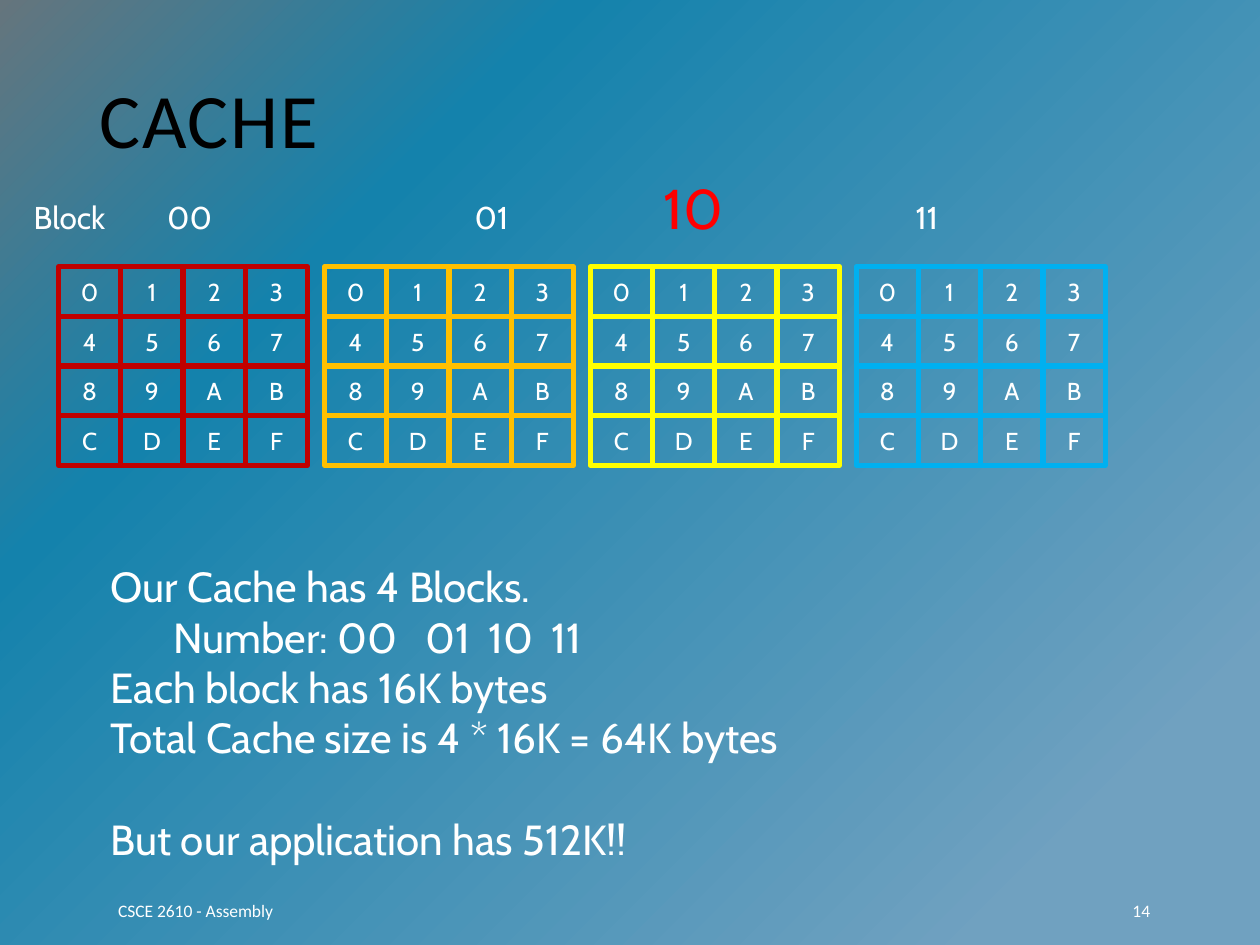
import pptx
import pptx.dml.color
import pptx.enum.shapes
import pptx.enum.text
import pptx.oxml
import pptx.oxml.ns
import pptx.util

Cm = pptx.util.Cm
Pt = pptx.util.Pt
ANCHOR = pptx.enum.text.MSO_ANCHOR
ALIGN = pptx.enum.text.PP_ALIGN
NS = pptx.oxml.ns.nsdecls("a", "p")

WHITE = "FFFFFF"
BLOCK_COLORS = ["C00000", "FFC000", "FFFF00", "00B0F0"]
STOPS = [(13, "70A1C0"), (74, "1482AC"), (100, "65757D")]


def rgb(color):
    return pptx.dml.color.RGBColor.from_string(color)


def add_run(p, text, size, font="Cabin", color=WHITE):
    r = p.add_run()
    r.text = text
    r.font.size = Pt(size)
    r.font.name = font
    r.font.color.rgb = rgb(color)
    return r


def set_tabs(p, stops):
    tabs = "".join(f'<a:tab pos="{Cm(x)}" algn="l"/>' for x in stops)
    pPr = p._p.get_or_add_pPr()
    pPr.append(pptx.oxml.parse_xml(f"<a:tabLst {NS}>{tabs}</a:tabLst>"))


def add_text_box(s, x, y, w, h, anchor=ANCHOR.TOP):
    tf = s.shapes.add_textbox(Cm(x), Cm(y), Cm(w), Cm(h)).text_frame
    tf.word_wrap = True
    tf.vertical_anchor = anchor
    return tf


def set_background(s):
    stops = "".join(
        f'<a:gs pos="{pos * 1000}"><a:srgbClr val="{color}"/></a:gs>'
        for pos, color in STOPS)
    bg = pptx.oxml.parse_xml(
        f'<p:bg {NS}><p:bgPr><a:gradFill rotWithShape="1">'
        f'<a:gsLst>{stops}</a:gsLst><a:path path="circle">'
        '<a:fillToRect l="100000" t="100000"/></a:path></a:gradFill>'
        '<a:effectLst/></p:bgPr></p:bg>')
    s.element.cSld.insert(0, bg)


def set_title(s, x, y, w, h):
    sp = s.shapes.title
    sp.left, sp.top, sp.width, sp.height = Cm(x), Cm(y), Cm(w), Cm(h)
    tf = sp.text_frame
    tf.vertical_anchor = ANCHOR.MIDDLE
    p = tf.paragraphs[0]
    p.alignment = ALIGN.LEFT
    p.line_spacing = 0.8
    r = add_run(p, "CACHE", 44, "Calibri", "000000")
    r.font._element.set("spc", "100")


def add_footer(s, x, y, w, h, text):
    tf = add_text_box(s, x, y, w, h, ANCHOR.MIDDLE)
    add_run(tf.paragraphs[0], text, 10, "Calibri")


def add_summary(s, x, y, w, h):
    tf = add_text_box(s, x, y, w, h)
    lines = ["Our Cache has 4 Blocks.",
             "\tNumber: 00\t01\t10\t11",
             "Each block has 16K bytes",
             "Total Cache size is 4 * 16K = 64K bytes",
             "But our application has 512K!!"]
    for i, line in enumerate(lines):
        p = tf.add_paragraph() if i else tf.paragraphs[0]
        add_run(p, line, 24)
    set_tabs(tf.paragraphs[1], [1.27, 6.35, 7.62, 8.89])
    tf.paragraphs[-1].space_before = Pt(29)


def add_block(s, x, y, w, h, color):
    group = s.shapes.add_group_shape()
    for i in range(16):
        row, col = divmod(i, 4)
        sp = group.shapes.add_shape(
            pptx.enum.shapes.MSO_SHAPE.RECTANGLE,
            Cm(x + col * w / 4), Cm(y + row * h / 4), Cm(w / 4), Cm(h / 4))
        sp.shadow.inherit = False
        sp.fill.background()
        sp.line.color.rgb = rgb(color)
        sp.line.width = Pt(3)
        tf = sp.text_frame
        tf.vertical_anchor = ANCHOR.MIDDLE
        p = tf.paragraphs[0]
        p.alignment = ALIGN.CENTER
        add_run(p, f"{i:X}", 14)


def add_block_labels(s, x, y, w, h):
    p = add_text_box(s, x, y, w, h).paragraphs[0]
    set_tabs(p, [2.69, 8.89, 12.7, 17.78])
    add_run(p, "Block\t00\t01\t", 18)
    add_run(p, "10", 32, color="FF0000")
    add_run(p, "\t11", 18)


def main():
    prs = pptx.Presentation()
    prs.slide_width, prs.slide_height = Cm(25.4), Cm(19.05)
    s = prs.slides.add_slide(prs.slide_layouts[5])
    set_background(s)
    set_title(s, 1.75, 1.02, 21.9, 3.07)
    add_footer(s, 2.13, 17.98, 4.5, 0.76, "CSCE 2610 - Assembly")
    add_footer(s, 22.58, 17.98, 2.03, 0.76, "14")
    add_summary(s, 1.98, 11.18, 14.12, 6.4)
    for i, color in enumerate(BLOCK_COLORS):
        add_block(s, 1.18 + i * 5.36, 5.38, 5.02, 4, color)
    add_block_labels(s, 0.43, 3.38, 22.56, 1.63)
    prs.save("out.pptx")


if __name__ == "__main__":
    main()
